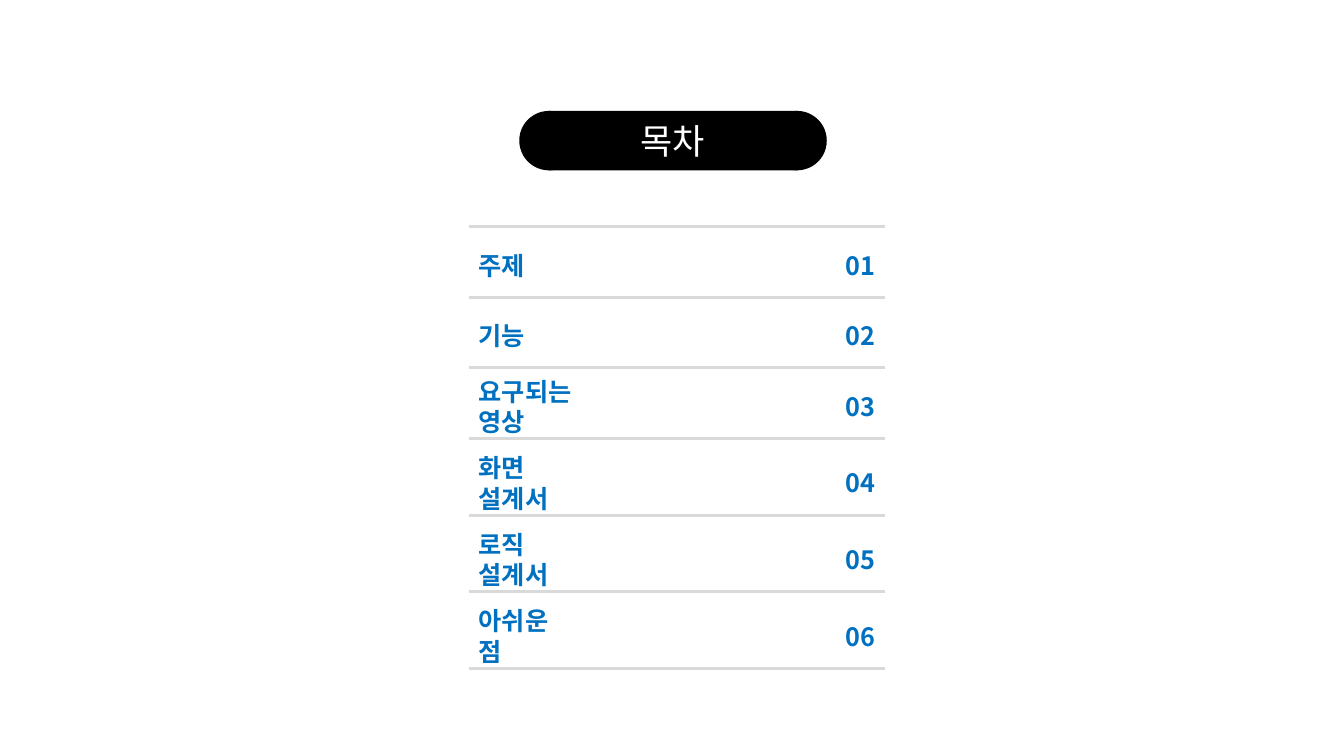
from dataclasses import dataclass

from lxml.etree import SubElement
from pptx import Presentation
from pptx.dml.color import RGBColor
from pptx.enum.shapes import MSO_CONNECTOR as Connector, MSO_SHAPE as Preset
from pptx.enum.text import MSO_ANCHOR as Anchor, MSO_AUTO_SIZE as AutoSize, PP_ALIGN as Align
from pptx.oxml.ns import qn
from pptx.util import Inches, Pt


@dataclass(frozen=True)
class Theme:
    font: str = "Noto Sans CJK KR"
    banner: RGBColor = RGBColor(0x00, 0x00, 0x00)
    banner_text: RGBColor = RGBColor(0xFF, 0xFF, 0xFF)
    entry: RGBColor = RGBColor(0x00, 0x70, 0xC0)
    rule: RGBColor = RGBColor(0xD9, 0xD9, 0xD9)
    title_size: int = 25
    entry_size: int = 18
    rule_width: float = 2.25


THEME = Theme()
LEFT, RIGHT, TOP = 4.65, 8.78, 2.25
LABEL_RISE, LABEL_HEIGHT, NUMBER_WIDTH = 0.52, 0.4, 0.51
BANNER_LEFT, BANNER_TOP, BANNER_WIDTH, BANNER_HEIGHT = 5.15, 1.1, 3.05, 0.59

ENTRIES = [
    ("주제", 0.7, 0.7),
    ("기능", 0.7, 0.7),
    ("요구되는 영상", 1.59, 0.7),
    ("화면 설계서", 1.36, 0.76),
    ("로직 설계서", 1.36, 0.76),
    ("아쉬운 점", 1.13, 0.76),
]


def write_text(shape, text, *, size, color, bold=False, align=Align.LEFT, wrap=True):
    frame = shape.text_frame
    frame.auto_size = AutoSize.NONE
    frame.word_wrap = wrap
    frame.vertical_anchor = Anchor.MIDDLE
    paragraph = frame.paragraphs[0]
    paragraph.alignment = align
    run = paragraph.add_run()
    run.text = text
    run.font.size = Pt(size)
    run.font.bold = bold
    run.font.color.rgb = color
    run.font.name = THEME.font
    SubElement(run._r.get_or_add_rPr(), qn("a:ea"), typeface=THEME.font)


def add_banner_end(slide, left):
    end = slide.shapes.add_shape(
        Preset.OVAL, Inches(left), Inches(BANNER_TOP), Inches(BANNER_HEIGHT), Inches(BANNER_HEIGHT)
    )
    end.shadow.inherit = False
    end.fill.solid()
    end.fill.fore_color.rgb = THEME.banner
    end.line.fill.background()


def add_banner(slide, text):
    for left in (BANNER_LEFT, BANNER_LEFT + BANNER_WIDTH - BANNER_HEIGHT):
        add_banner_end(slide, left)
    title = slide.shapes.title
    title.left = Inches(BANNER_LEFT + BANNER_HEIGHT / 2)
    title.top = Inches(BANNER_TOP)
    title.width = Inches(BANNER_WIDTH - BANNER_HEIGHT)
    title.height = Inches(BANNER_HEIGHT)
    title.fill.solid()
    title.fill.fore_color.rgb = THEME.banner
    write_text(title, text, size=THEME.title_size, color=THEME.banner_text, align=Align.CENTER)


def add_rule(slide, y):
    rule = slide.shapes.add_connector(
        Connector.STRAIGHT, Inches(LEFT), Inches(y), Inches(RIGHT), Inches(y)
    )
    rule.line.color.rgb = THEME.rule
    rule.line.width = Pt(THEME.rule_width)
    SubElement(rule._element.spPr, qn("a:effectLst"))


def add_entry_text(slide, text, left, top, width, **text_format):
    box = slide.shapes.add_textbox(Inches(left), Inches(top), Inches(width), Inches(LABEL_HEIGHT))
    write_text(box, text, size=THEME.entry_size, color=THEME.entry, bold=True, **text_format)


def add_contents(slide):
    y = TOP
    add_rule(slide, y)
    for number, (label, label_width, row_height) in enumerate(ENTRIES, start=1):
        y += row_height
        text_top = y - LABEL_RISE
        add_entry_text(slide, label, LEFT, text_top, label_width)
        add_entry_text(
            slide, f"{number:02d}", RIGHT - NUMBER_WIDTH, text_top, NUMBER_WIDTH,
            align=Align.RIGHT, wrap=False,
        )
        add_rule(slide, y)


def main():
    presentation = Presentation()
    presentation.slide_width = Inches(13.33)
    presentation.slide_height = Inches(7.5)
    slide = presentation.slides.add_slide(presentation.slide_layouts.get_by_name("Title Only"))
    add_banner(slide, "목차")
    add_contents(slide)
    presentation.save("out.pptx")


if __name__ == "__main__":
    main()
